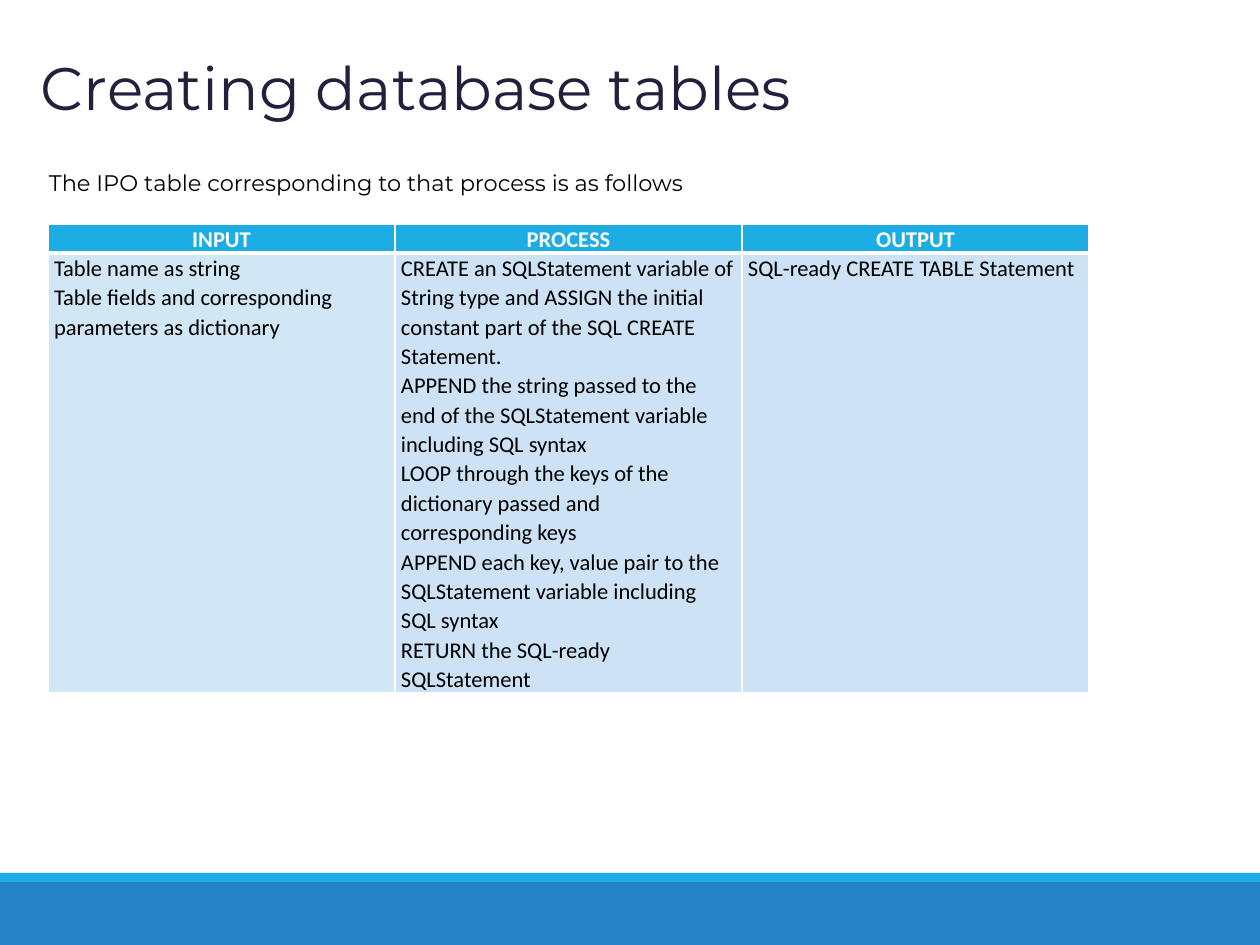
import dataclasses

import lxml.etree
import pptx
import pptx.dml.color
import pptx.enum.shapes
import pptx.enum.text
import pptx.oxml.ns
import pptx.util

PX = 10160
ANCHOR = pptx.enum.text.MSO_ANCHOR
ALIGN = pptx.enum.text.PP_ALIGN

HEADERS = ["INPUT", "PROCESS", "OUTPUT"]
BODY = [
    [
        "Table name as string",
        "Table fields and corresponding parameters as dictionary",
    ],
    [
        "CREATE an SQLStatement variable of String type and ASSIGN the initial "
        "constant part of the SQL CREATE Statement.",
        "APPEND the string passed to the end of the SQLStatement variable "
        "including SQL syntax",
        "LOOP through the keys of the dictionary passed and corresponding keys",
        "APPEND each key, value pair to the SQLStatement variable including "
        "SQL syntax",
        "RETURN the SQL-ready SQLStatement",
    ],
    ["SQL-ready CREATE TABLE Statement"],
]


@dataclasses.dataclass(frozen=True)
class Theme:
    title: str = "231F3D"
    text: str = "000000"
    white: str = "FFFFFF"
    accent: str = "1CADE4"
    footer: str = "2683C6"
    first_column: str = "D1E7F6"
    column: str = "CDE3F5"
    heading_font: str = "Montserrat"
    table_font: str = "Calibri"
    title_size: int = 48
    text_size: int = 18


THEME = Theme()


def px(n):
    return pptx.util.Emu(n * PX)


def rgb(color):
    return pptx.dml.color.RGBColor.from_string(color)


def apply(target, values):
    for name, value in values.items():
        setattr(target, name, value)


def fill_solid(target, color):
    target.fill.solid()
    target.fill.fore_color.rgb = rgb(color)


def write_paragraphs(tf, lines, font, color, **layout):
    for i, line in enumerate(lines):
        p = tf.paragraphs[0] if i == 0 else tf.add_paragraph()
        apply(p, layout)
        r = p.add_run()
        r.text = line
        apply(r.font, font)
        r.font.color.rgb = rgb(color)


def add_bar(s, top, height, color):
    sp = s.shapes.add_shape(
        pptx.enum.shapes.MSO_SHAPE.RECTANGLE, 0, px(top), px(1260), px(height)
    )
    sp.shadow.inherit = False
    fill_solid(sp, color)
    sp.line.fill.background()


def add_text(s, box, text, size, color, wrap, **layout):
    tf = s.shapes.add_textbox(*map(px, box)).text_frame
    apply(tf, {"word_wrap": wrap, "vertical_anchor": ANCHOR.MIDDLE})
    font = {"name": THEME.heading_font, "size": pptx.util.Pt(size)}
    write_paragraphs(tf, [text], font, color, **layout)


def set_borders(cell, **widths):
    tc_pr = cell._tc.get_or_add_tcPr()
    qn = pptx.oxml.ns.qn
    for side, width in widths.items():
        ln = lxml.etree.SubElement(
            tc_pr, qn(f"a:ln{side}"), w=str(pptx.util.Pt(width))
        )
        solid = lxml.etree.SubElement(ln, qn("a:solidFill"))
        lxml.etree.SubElement(solid, qn("a:srgbClr"), val=THEME.white)


def format_cell(cell, lines, fill, color, bold, align, top, bottom):
    apply(cell, {
        "margin_left": px(6), "margin_right": px(6),
        "margin_top": 0, "margin_bottom": 0,
    })
    set_borders(cell, L=1, R=1, T=top, B=bottom)
    fill_solid(cell, fill)
    font = {
        "name": THEME.table_font,
        "size": pptx.util.Pt(THEME.text_size),
        "bold": bold,
    }
    write_paragraphs(
        cell.text_frame, lines, font, color, alignment=align, line_spacing=1.07
    )


def add_ipo_table(s, left, top, column_width, row_heights):
    columns = len(HEADERS)
    table = s.shapes.add_table(
        len(row_heights), columns, px(left), px(top),
        px(column_width * columns), px(sum(row_heights)),
    ).table
    table.horz_banding = False
    for row, height in zip(table.rows, row_heights):
        row.height = px(height)
    for i, (header, lines) in enumerate(zip(HEADERS, BODY)):
        table.columns[i].width = px(column_width)
        format_cell(table.cell(0, i), [header], THEME.accent, THEME.white,
                    True, ALIGN.CENTER, top=1, bottom=3)
        fill = THEME.column if i else THEME.first_column
        format_cell(table.cell(1, i), lines, fill, THEME.text,
                    False, ALIGN.LEFT, top=3, bottom=1)


def main():
    prs = pptx.Presentation()
    apply(prs, {"slide_width": px(1260), "slide_height": px(945)})
    s = prs.slides.add_slide(prs.slide_layouts[6])
    add_bar(s, 882, 63, THEME.footer)
    add_bar(s, 873, 9, THEME.accent)
    add_text(s, (32, 0, 1086, 183), "Creating database tables",
             THEME.title_size, THEME.title, True, line_spacing=0.9)
    add_ipo_table(s, 48, 224, 347, (29, 440))
    add_text(s, (40, 165, 661, 36),
             "The IPO table corresponding to that process is as follows",
             THEME.text_size, THEME.text, False)
    prs.save("out.pptx")


if __name__ == "__main__":
    main()
